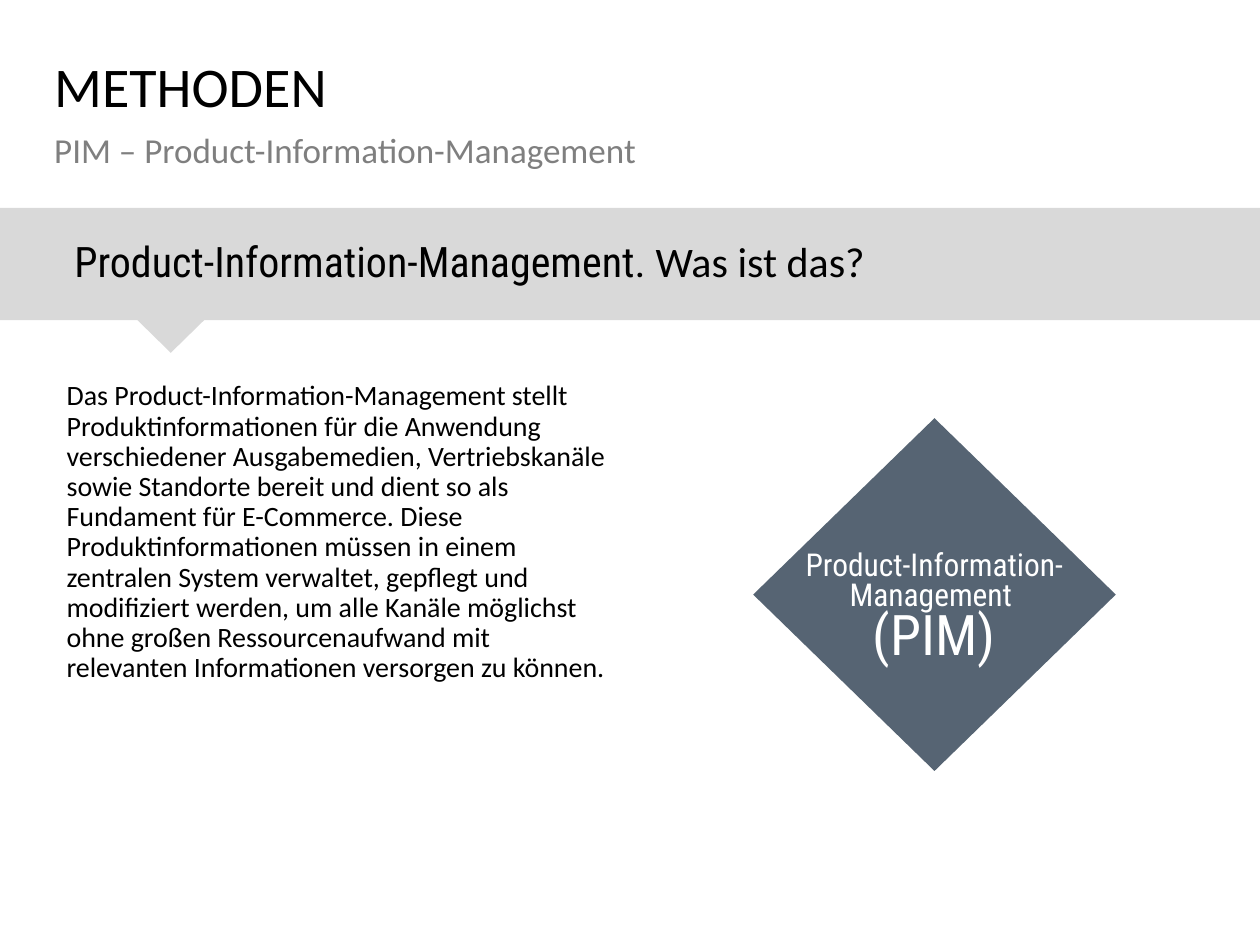
from lxml.etree import SubElement
from pptx import Presentation
from pptx.dml.color import RGBColor
from pptx.enum.shapes import MSO_SHAPE as SHAPE
from pptx.enum.text import MSO_ANCHOR as ANCHOR, PP_ALIGN as ALIGN
from pptx.oxml.ns import qn
from pptx.util import Pt

W, H = 720, 540
MARGIN = 31
BAND_TOP, BAND_H = 118.8, 64.1


def color(hex_code):
    return RGBColor.from_string(hex_code)


def write(tf, lines, size=16, font="Calibri", fill="000000", align=ALIGN.LEFT,
          spacing=0.9, after=0, insets=(0, 0, 0, 0), anchor=ANCHOR.TOP, wrap=True):
    """Write one paragraph; each line is a list of (text, run overrides)."""
    tf.word_wrap, tf.vertical_anchor = wrap, anchor
    tf.margin_left, tf.margin_top, tf.margin_right, tf.margin_bottom = map(Pt, insets)
    p = tf.paragraphs[0]
    p.alignment, p.line_spacing, p.space_after = align, spacing, Pt(after)
    for i, line in enumerate(lines):
        if i:
            p.add_line_break()
        for text, own in line:
            r = p.add_run()
            r.text = text
            r.font.size = Pt(own.get("size", size))
            r.font.name = own.get("font", font)
            r.font.color.rgb = color(fill)


class Deck:
    HEAD = "Roboto Condensed"
    BLACK, GRAY, WHITE = "000000", "7F7F7F", "FFFFFF"
    BAND, SLATE = "D9D9D9", "2C3E50"

    def __init__(self):
        self.prs = Presentation()
        self.prs.slide_width, self.prs.slide_height = Pt(W), Pt(H)
        self.s = self.prs.slides.add_slide(self.prs.slide_layouts[6])

    def text(self, x, y, w, h, text, **fmt):
        box = self.s.shapes.add_textbox(Pt(x), Pt(y), Pt(w), Pt(h))
        write(box.text_frame, [[(text, {})]], **fmt)

    def shape(self, kind, x, y, w, h, fill, alpha=None, rotation=0):
        sp = self.s.shapes.add_shape(kind, Pt(x), Pt(y), Pt(w), Pt(h))
        sp.shadow.inherit = False
        sp.rotation = rotation
        sp.fill.solid()
        sp.fill.fore_color.rgb = color(fill)
        sp.line.fill.background()
        if alpha:
            clr = sp.fill._xPr.find(".//" + qn("a:srgbClr"))
            SubElement(clr, qn("a:alpha"), val=str(alpha * 1000))
        return sp


def main():
    d = Deck()

    # Title and subtitle
    d.text(MARGIN, 33.8, 657, 42, "METHODEN", size=32)
    d.text(MARGIN, 76.3, 657, 42.5, "PIM – Product-Information-Management",
           size=20, fill=d.GRAY, after=10)

    # Explanation
    d.text(MARGIN, 214.6, 329, 181.4,
           "Das Product-Information-Management stellt Produktinformationen für die "
           "Anwendung verschiedener Ausgabemedien, Vertriebskanäle sowie Standorte "
           "bereit und dient so als Fundament für E-Commerce. Diese "
           "Produktinformationen müssen in einem zentralen System verwaltet, gepflegt "
           "und modifiziert werden, um alle Kanäle möglichst ohne großen "
           "Ressourcenaufwand mit relevanten Informationen versorgen zu können.",
           insets=(7.2, 3.6, 7.2, 3.6))

    # PIM diamond
    diamond = d.shape(SHAPE.FLOWCHART_DECISION, 430.4, 239, 207.2, 201.6, d.SLATE, alpha=80)
    write(diamond.text_frame,
          [[("Product-Information-", {})], [("Management ", {})], [("(PIM)", {"size": 32})]],
          size=18, font=d.HEAD, fill=d.WHITE, align=ALIGN.CENTER, spacing=0.8,
          insets=(7.2, 20.2, 7.2, 3.6), anchor=ANCHOR.MIDDLE, wrap=False)

    # Question band with pointer
    band = d.shape(SHAPE.RECTANGLE, 0, BAND_TOP, W, BAND_H, d.BAND)
    write(band.text_frame,
          [[("Product-Information-Management. ", {"font": d.HEAD}), ("Was ist das?", {})]],
          size=24, insets=(42.5, 3.6, 42.5, 3.6), anchor=ANCHOR.MIDDLE)
    d.shape(SHAPE.ISOSCELES_TRIANGLE, 78.5, BAND_TOP + BAND_H, 38.2, 18.7, d.BAND, rotation=180)

    d.prs.save("out.pptx")


if __name__ == "__main__":
    main()
